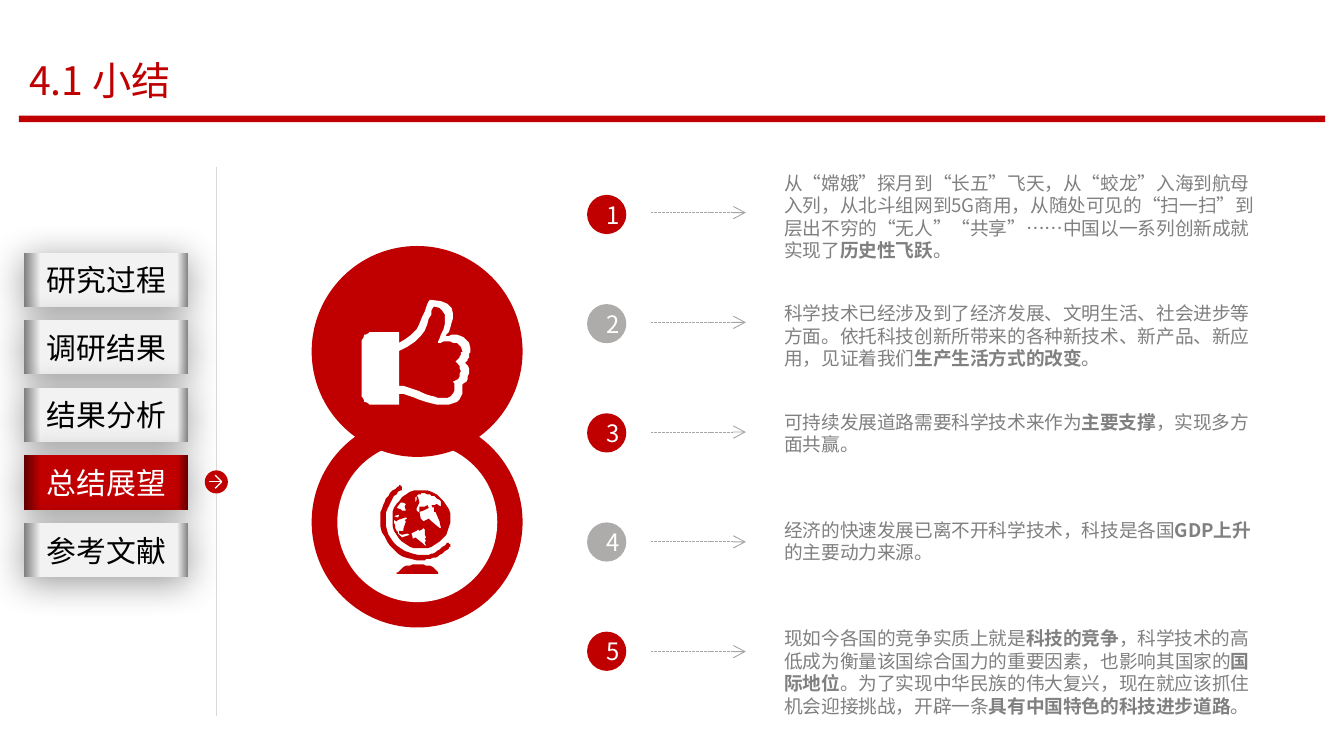
from dataclasses import dataclass
from typing import Optional

from lxml.etree import SubElement
from pptx import Presentation
from pptx.dml.color import RGBColor
from pptx.enum.dml import MSO_LINE
from pptx.enum.shapes import MSO_CONNECTOR, MSO_SHAPE
from pptx.enum.text import MSO_ANCHOR, MSO_AUTO_SIZE, PP_ALIGN
from pptx.oxml.ns import qn
from pptx.util import Pt

FONT = "Noto Sans CJK SC"
RED, DARK_RED, WHITE, BLACK = "C00000", "600000", "FFFFFF", "000000"
SILVER, PALE, GREY = "AEABAB", "F2F2F2", "808080"


@dataclass
class Finding:
    top: float
    height: float
    text: str  # every second piece between "*" is bold


@dataclass
class Topic:
    label: str
    current: bool = False


FINDINGS = [
    Finding(87.1, 58.3, "从“嫦娥”探月到“长五”飞天，从“蛟龙”入海到航母入列，从北斗组网到5G商用，"
            "从随处可见的“扫一扫”到层出不穷的“无人”“共享”……中国以一系列创新成就实现了*历史性飞跃*。"),
    Finding(157, 46.1, "科学技术已经涉及到了经济发展、文明生活、社会进步等方面。依托科技创新所带来的"
            "各种新技术、新产品、新应用，见证着我们*生产生活方式的改变*。"),
    Finding(215.1, 33.8, "可持续发展道路需要科学技术来作为*主要支撑*，实现多方面共赢。"),
    Finding(273.1, 33.8, "经济的快速发展已离不开科学技术，科技是各国*GDP上升*的主要动力来源。"),
    Finding(331.2, 58.3, "现如今各国的竞争实质上就是*科技的竞争*，科学技术的高低成为衡量该国综合国力的"
            "重要因素，也影响其国家的*国际地位*。为了实现中华民族的伟大复兴，现在就应该抓住机会迎接挑战，"
            "开辟一条*具有中国特色的科技进步道路*。"),
]
TOPICS = [Topic("研究过程"), Topic("调研结果"), Topic("结果分析"),
          Topic("总结展望", current=True), Topic("参考文献")]

# Icon outlines on a grid of 0.72 pt: pairs are corners, sextuples are Bézier curves
THUMB = [
    [(77, 47), (82, 48, 80, 62, 75, 63), (76, 67, 76, 78, 61, 78), (43, 78, 40, 71, 28, 70),
     (28, 78), (8, 78), (4, 78, 0, 74, 0, 70), (0, 32), (0, 28, 4, 24, 8, 24), (28, 24), (28, 32),
     (47, 24, 47, 1, 51, 0), (81, 0, 63, 27, 63, 27), (63, 27, 79, 22, 81, 36),
     (80, 41, 81, 43, 77, 47)],
    [(57, 32), (57, 32, 70, 5, 54, 5), (51, 5, 52, 30, 28, 38), (28, 64),
     (37, 64, 49, 73, 61, 73), (71, 73, 70, 65, 68, 61), (76, 59, 74, 47, 70, 46),
     (74, 42, 74, 40, 75, 38), (74, 28, 57, 32, 57, 32)],
]
GLOBE_STAND = [(43, 65), (44, 65, 43, 66, 42, 66), (13, 66), (12, 66, 12, 65, 13, 65),
               (15, 61, 21, 59, 28, 59), (34, 59, 41, 61, 43, 65)]
GLOBE_BALL = [(16, 9), (25, 1, 39, 2, 47, 12), (55, 21, 53, 35, 44, 42),
              (35, 50, 21, 49, 14, 40), (6, 30, 7, 17, 16, 9)]
GLOBE_ARM = [(52, 44), (51, 43, 49, 43, 49, 44), (45, 48, 40, 51, 35, 52), (28, 52),
             (16, 51, 6, 42, 4, 30), (4, 23), (5, 15, 9, 8, 15, 4), (16, 4, 16, 2, 16, 1),
             (15, 0, 14, 0, 13, 1), (6, 6, 1, 14, 0, 23), (0, 26, 0, 28, 0, 31),
             (3, 44, 14, 55, 27, 56), (30, 56, 33, 56, 35, 55), (42, 54, 47, 51, 51, 47),
             (52, 46, 52, 45, 52, 44)]
GLOBE_LANDS = [
    [(10, 23), (12, 24), (13, 24), (14, 23), (14, 22)],
    [(26, 13), (27, 11), (27, 8), (28, 9), (29, 13), (28, 15), (27, 17), (27, 19), (28, 20),
     (29, 20), (29, 16), (33, 16), (35, 15), (36, 17), (32, 19), (29, 20), (30, 25), (32, 27),
     (34, 26), (36, 25), (38, 27), (44, 32), (45, 32), (44, 27), (41, 20), (40, 20), (40, 16),
     (39, 17), (38, 15), (40, 15), (42, 14), (43, 15), (45, 16), (45, 12),
     (41, 8, 36, 6, 30, 6), (30, 7), (28, 7), (26, 9)],
    [(23, 36), (24, 39), (24, 40), (26, 39), (31, 43), (33, 45), (34, 45), (33, 43), (34, 41),
     (33, 40), (34, 39), (33, 37), (33, 33), (32, 32), (31, 33), (29, 34), (28, 33), (27, 34)],
    [(18, 26), (20, 25), (19, 24), (13, 26), (12, 27), (10, 26), (10, 30, 12, 35, 15, 38),
     (16, 39), (22, 37), (20, 36), (16, 37), (14, 36), (14, 34), (17, 34), (17, 33), (19, 27)],
    [(15, 13), (12, 17), (15, 18), (16, 19), (19, 19), (18, 16), (19, 14), (17, 13)],
]
GLOBE = [GLOBE_STAND, GLOBE_BALL, GLOBE_ARM, *GLOBE_LANDS]


def color(value: str) -> RGBColor:
    return RGBColor.from_string(value)


def write(shape, text: str, *, size: float, fill: str, align=None, margins=None,
          fit: bool = False) -> None:
    frame = shape.text_frame
    frame.word_wrap = True
    if fit:
        frame.auto_size = MSO_AUTO_SIZE.SHAPE_TO_FIT_TEXT
    if margins:
        frame.margin_left = frame.margin_right = Pt(margins[0])
        frame.margin_top = frame.margin_bottom = Pt(margins[1])
    paragraph = frame.paragraphs[0]
    paragraph.alignment = align
    for index, piece in enumerate(text.split("*")):
        run = paragraph.add_run()
        run.text = piece
        run.font.size, run.font.name = Pt(size), FONT
        run.font.bold = index % 2 == 1
        run.font.color.rgb = color(fill)
        SubElement(run.font._element, qn("a:ea")).set("typeface", FONT)


def add_shape(kind, x: float, y: float, width: float, height: float, fill: str):
    shape = slide.shapes.add_shape(kind, Pt(x), Pt(y), Pt(width), Pt(height))
    shape.shadow.inherit = False
    shape.fill.solid()
    shape.fill.fore_color.rgb = color(fill)
    shape.line.fill.background()
    return shape


def add_line(x1: float, y1: float, x2: float, y2: float, stroke: str, width: float = 0.75,
             dash: Optional[MSO_LINE] = None, arrow: bool = False) -> None:
    line = slide.shapes.add_connector(MSO_CONNECTOR.STRAIGHT, Pt(x1), Pt(y1), Pt(x2), Pt(y2))
    line.line.color.rgb = color(stroke)
    line.line.width = Pt(width)
    if dash:
        line.line.dash_style = dash
    if arrow:
        SubElement(line.line._get_or_add_ln(), qn("a:tailEnd")).set("type", "arrow")
    SubElement(line._element.spPr, qn("a:effectLst"))


def flatten(contour: list, steps: int = 10) -> list:
    points = [contour[0]]
    for part in contour[1:]:
        if len(part) == 2:
            points.append(part)
            continue
        nodes = [points[-1], part[:2], part[2:4], part[4:]]
        for t in (step / steps for step in range(1, steps + 1)):
            weights = ((1 - t) ** 3, 3 * t * (1 - t) ** 2, 3 * t * t * (1 - t), t ** 3)
            points.append(tuple(sum(w * n[axis] for w, n in zip(weights, nodes))
                                for axis in (0, 1)))
    return points


def add_icon(contours: list, x: float, y: float, fill: str) -> None:
    outlines = [flatten(contour) for contour in contours]
    builder = slide.shapes.build_freeform(*outlines[0][0], scale=Pt(0.72))
    for index, outline in enumerate(outlines):
        if index:
            builder.move_to(*outline[0])
        builder.add_line_segments(outline[1:], close=True)
    icon = builder.convert_to_shape(Pt(x), Pt(y))
    icon.shadow.inherit = False
    icon.fill.solid()
    icon.fill.fore_color.rgb = color(fill)
    icon.line.fill.background()


def add_topic(topic: Topic, y: float) -> None:
    edge, middle, ink = (DARK_RED, RED, WHITE) if topic.current else (GREY, PALE, BLACK)
    tab = add_shape(MSO_SHAPE.RECTANGLE, 13, y, 88, 29, middle)
    write(tab, topic.label, size=16, fill=ink, align=PP_ALIGN.CENTER)
    tab.fill.gradient()
    tab.fill.gradient_angle = 180
    properties = tab._element.spPr
    stops = properties.find(qn("a:gradFill")).find(qn("a:gsLst"))
    stops.clear()
    for percent, shade in ((0, edge), (7, middle), (90, middle), (100, edge)):
        stop = SubElement(stops, qn("a:gs"), pos=str(percent * 1000))
        SubElement(stop, qn("a:srgbClr"), val=shade)
    shadow = SubElement(properties.find(qn("a:effectLst")), qn("a:outerShdw"),
                        blurRad=str(Pt(20)), dist=str(Pt(3)), dir="5400000", rotWithShape="0")
    tint = SubElement(shadow, qn("a:srgbClr"), val=BLACK)
    SubElement(tint, qn("a:alpha"), val="40000")


presentation = Presentation()
presentation.slide_width, presentation.slide_height = Pt(720), Pt(405)
slide = presentation.slides.add_slide(presentation.slide_layouts[6])

# Numbered findings with arrows
for row, finding in enumerate(FINDINGS):
    number = add_shape(MSO_SHAPE.OVAL, 314.5, 104.4 + 58.5 * row, 21, 21, SILVER if row % 2 else RED)
    write(number, str(row + 1), size=12.8, fill=WHITE, align=PP_ALIGN.CENTER)
    arrow_y = 113.9 + 58.8 * row
    add_line(348.5, arrow_y, 399.6, arrow_y, "A6A6A6", 0.5, MSO_LINE.SQUARE_DOT, arrow=True)
    note = slide.shapes.add_textbox(Pt(410.6), Pt(finding.top), Pt(272), Pt(finding.height))
    write(note, finding.text, size=10, fill=GREY, margins=(9.6, 4.8), fit=True)

# Figure of two discs with icons
add_shape(MSO_SHAPE.OVAL, 167, 223.2, 113, 113, RED)
add_shape(MSO_SHAPE.OVAL, 180.7, 236.9, 85.7, 85.7, WHITE)
add_shape(MSO_SHAPE.OVAL, 167, 131.8, 113, 113, RED)
add_icon(THUMB, 193.7, 160.6, WHITE)

# Title and rule
add_shape(MSO_SHAPE.RECTANGLE, 10.1, 61.9, 699.8, 3.6, RED)
title = slide.shapes.add_textbox(Pt(8.6), Pt(26.6), Pt(277), Pt(32.4))
write(title, "4.1 小结", size=21, fill=RED, fit=True)

# Topic menu with position marker
for row, topic in enumerate(TOPICS):
    add_topic(topic, 135.4 + 36.2 * row)
add_line(116.1, 89.3, 116.1, 383.8, "D9D9D9")
marker = add_shape(MSO_SHAPE.OVAL, 109.7, 252, 12.4, 12.4, RED)
add_line(111.9, 258.1, 118.6, 258.1, WHITE)
for tip_y in (254.6, 261.6):
    add_line(115.3, tip_y, 118.8, 258.1, WHITE)

# Globe icon
add_icon(GLOBE, 203.8, 259.9, RED)

presentation.save("out.pptx")
